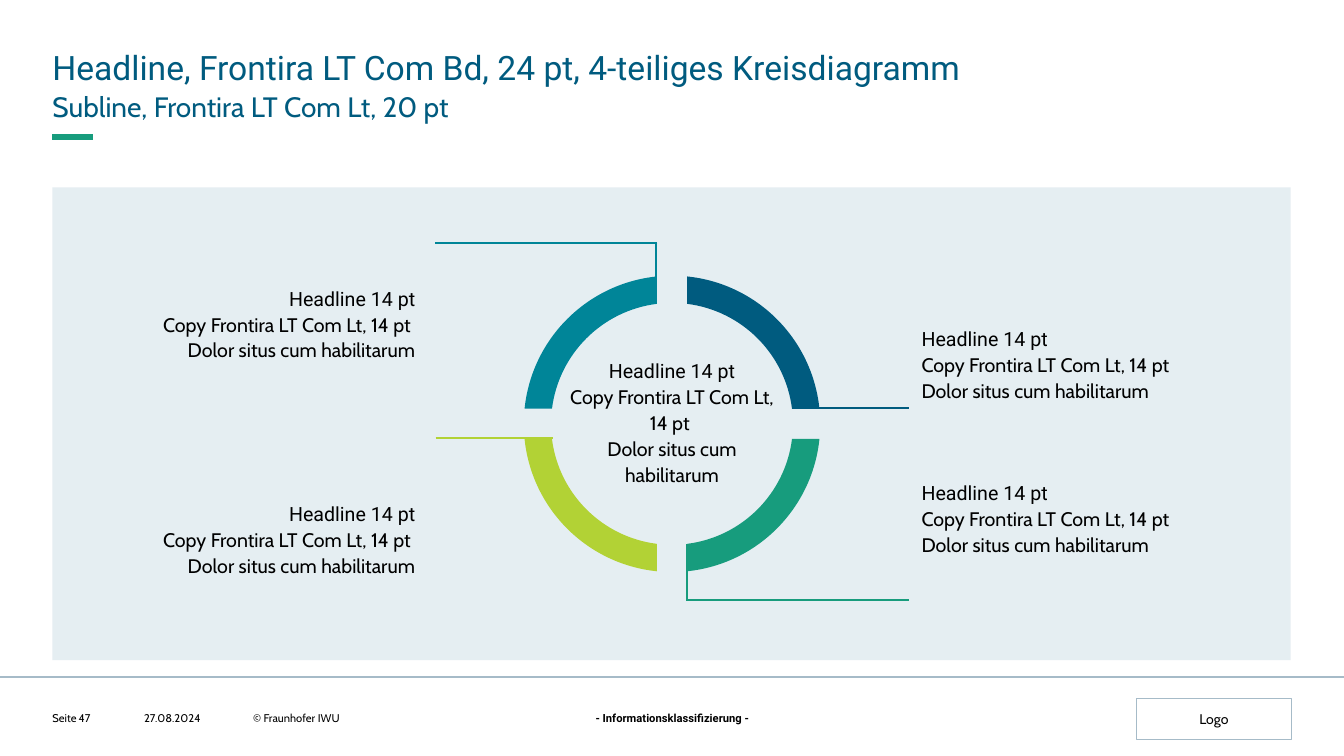
from copy import deepcopy
from dataclasses import dataclass
from math import asin, cos, pi, sin, tan

from lxml import etree
from pptx import Presentation
from pptx.dml.color import RGBColor
from pptx.enum.shapes import MSO_CONNECTOR, MSO_SHAPE
from pptx.enum.text import MSO_ANCHOR, PP_ALIGN
from pptx.oxml.ns import qn
from pptx.util import Inches, Pt

LEFT, CENTER, RIGHT = PP_ALIGN.LEFT, PP_ALIGN.CENTER, PP_ALIGN.RIGHT
TOP, MIDDLE = MSO_ANCHOR.TOP, MSO_ANCHOR.MIDDLE
RECTANGLE, STRAIGHT = MSO_SHAPE.RECTANGLE, MSO_CONNECTOR.STRAIGHT

HEAD_FONT, COPY_FONT = "Roboto", "Cabin"
COLORS = {
    "navy": "005B7F", "teal": "008598", "green": "179C7D", "lime": "B2D235",
    "panel": "E5EEF2", "rule": "A6BBC8", "white": "FFFFFF", "black": "000000",
}

# Geometry in inches: the ring sits in the middle of the panel
PAGE_WIDTH, PAGE_HEIGHT = 13.33, 7.5
PANEL_TOP, PANEL_HEIGHT = 1.86, 4.69
MARGIN, CONTENT_WIDTH = 0.52, 12.28
CENTER_X, CENTER_Y = PAGE_WIDTH / 2, PANEL_TOP + PANEL_HEIGHT / 2
OUTER, INNER, HALF_GAP = 1.47, 1.2, 0.15


@dataclass
class Line:
    start: tuple[float, float]
    end: tuple[float, float]
    color: str
    width: float = 1.5


@dataclass
class Segment:
    side_x: int
    side_y: int
    color: str


@dataclass
class Label:
    left: float
    top: float
    width: float
    height: float
    align: PP_ALIGN
    anchor: MSO_ANCHOR = TOP


@dataclass
class FooterItem:
    text: str
    left: float
    width: float
    align: PP_ALIGN = LEFT
    font: str = COPY_FONT
    bold: bool = False


RULES = [
    Line((MARGIN, 1.36), (0.92, 1.36), "green", 4),
    Line((0, 6.72), (PAGE_WIDTH, 6.72), "rule"),
]
LEADERS = [
    Line((6.51, 3.01), (6.51, 2.4), "teal"),
    Line((6.52, 2.41), (4.31, 2.41), "teal"),
    Line((7.86, 4.05), (9.02, 4.05), "navy"),
    Line((6.81, 5.4), (6.81, 5.96), "green"),
    Line((6.81, 5.95), (9.02, 5.95), "green"),
    Line((4.32, 4.35), (5.48, 4.35), "lime"),
]
SEGMENTS = [
    Segment(1, -1, "navy"), Segment(-1, -1, "teal"),
    Segment(1, 1, "green"), Segment(-1, 1, "lime"),
]
LABELS = [
    Label(0.78, 2.82, 3.34, 0.76, RIGHT),
    Label(0.78, 4.96, 3.34, 0.76, RIGHT),
    Label(9.14, 3.22, 3.5, 0.76, LEFT),
    Label(9.14, 4.75, 3.5, 0.76, LEFT),
    Label(5.59, 3.54, 2.15, 1.28, CENTER, MIDDLE),
]
FOOTER = [
    FooterItem("Seite", MARGIN, 0.25),
    FooterItem("47", 0.78, 0.45),
    FooterItem("27.08.2024", 1.43, 0.94),
    FooterItem("© Fraunhofer IWU", 2.51, 3.23),
    FooterItem("- Informationsklassifizierung -", 5.88, 1.58, CENTER, HEAD_FONT, True),
]


def rgb(name: str) -> RGBColor:
    return RGBColor.from_string(COLORS[name])


def write(para, text: str, *, size: float, font: str = COPY_FONT, color: str = "black",
          bold: bool = False, align: PP_ALIGN = LEFT, spacing: float = 1.0) -> None:
    para.text = text
    para.alignment = align
    para.line_spacing = spacing
    for span in para.runs:
        span.font.name = font
        span.font.size = Pt(size)
        span.font.bold = bold
        span.font.color.rgb = rgb(color)
    # Line breaks take the format of the text around them
    for line_break in para._p.findall(qn("a:br")):
        line_break.append(deepcopy(para.runs[0]._r.rPr))


def set_frame(frame, margin: float = 0, anchor: MSO_ANCHOR = TOP, wrap: bool = True) -> None:
    frame.margin_left = frame.margin_right = Inches(margin)
    frame.margin_top = frame.margin_bottom = Inches(margin)
    frame.vertical_anchor = anchor
    frame.word_wrap = wrap


def add_text_box(page, left: float, top: float, width: float, height: float,
                 anchor: MSO_ANCHOR = TOP, wrap: bool = True):
    box = page.shapes.add_textbox(Inches(left), Inches(top), Inches(width), Inches(height))
    set_frame(box.text_frame, anchor=anchor, wrap=wrap)
    return box.text_frame


def paint(shape, color: str) -> None:
    shape.shadow.inherit = False
    shape.fill.solid()
    shape.fill.fore_color.rgb = rgb(color)
    shape.line.fill.background()


def add_rectangle(page, left: float, top: float, width: float, height: float, fill: str):
    box = page.shapes.add_shape(RECTANGLE, Inches(left), Inches(top), Inches(width), Inches(height))
    paint(box, fill)
    return box


def add_line(page, line: Line) -> None:
    ends = [Inches(value) for value in (*line.start, *line.end)]
    connector = page.shapes.add_connector(STRAIGHT, *ends)
    connector.line.color.rgb = rgb(line.color)
    connector.line.width = Pt(line.width)
    etree.SubElement(connector._element.spPr, qn("a:effectLst"))


def arc_points(segment: Segment, radius: float) -> list[tuple[int, int]]:
    """Start, two control points and end of a Bézier arc."""
    first = asin(HALF_GAP / radius)
    last = pi / 2 - first
    pull = 4 / 3 * tan((last - first) / 4)
    offsets = [
        (cos(first), sin(first)),
        (cos(first) - pull * sin(first), sin(first) + pull * cos(first)),
        (cos(last) + pull * sin(last), sin(last) - pull * cos(last)),
        (cos(last), sin(last)),
    ]
    return [(Inches(CENTER_X + segment.side_x * radius * x),
             Inches(CENTER_Y + segment.side_y * radius * y)) for x, y in offsets]


def add_segment(page, segment: Segment) -> None:
    points = arc_points(segment, OUTER) + arc_points(segment, INNER)[::-1]
    builder = page.shapes.build_freeform(*points[0])
    builder.add_line_segments(points[1:], close=True)
    shape = builder.convert_to_shape()
    # Join the three steps of each arc into one curve
    steps = list(shape._element.iter(qn("a:lnTo")))
    for arc in (steps[:3], steps[4:]):
        curve = etree.Element(qn("a:cubicBezTo"))
        arc[0].addprevious(curve)
        for step in arc:
            curve.append(step[0])
            step.getparent().remove(step)
    paint(shape, segment.color)


def add_label(page, label: Label) -> None:
    frame = add_text_box(page, label.left, label.top, label.width, label.height, label.anchor)
    write(frame.paragraphs[0], "Headline 14 pt", size=14, font=HEAD_FONT,
          align=label.align, spacing=1.1)
    write(frame.add_paragraph(), "Copy Frontira LT Com Lt, 14 pt \nDolor situs cum habilitarum",
          size=14, align=label.align, spacing=1.1)


def main() -> None:
    deck = Presentation()
    deck.slide_width, deck.slide_height = Inches(PAGE_WIDTH), Inches(PAGE_HEIGHT)
    page = deck.slides.add_slide(deck.slide_layouts[6])
    # Header
    title = add_text_box(page, MARGIN, 0.43, CONTENT_WIDTH, 0.42)
    write(title.paragraphs[0], "Headline, Frontira LT Com Bd, 24 pt, 4-teiliges Kreisdiagramm",
          size=24, font=HEAD_FONT, color="navy", spacing=1.1)
    subline = add_text_box(page, MARGIN, 0.85, CONTENT_WIDTH, 0.35)
    write(subline.paragraphs[0], "Subline, Frontira LT Com Lt, 20 pt",
          size=20, color="navy", spacing=1.1)
    for rule in RULES:
        add_line(page, rule)
    # Ring diagram
    add_rectangle(page, MARGIN, PANEL_TOP, CONTENT_WIDTH, PANEL_HEIGHT, "panel")
    for leader in LEADERS:
        add_line(page, leader)
    for segment in SEGMENTS:
        add_segment(page, segment)
    for label in LABELS:
        add_label(page, label)
    # Footer
    for item in FOOTER:
        frame = add_text_box(page, item.left, 7.06, item.width, 0.13, MIDDLE, wrap=False)
        write(frame.paragraphs[0], item.text, size=8, font=item.font,
              bold=item.bold, align=item.align)
    logo = add_rectangle(page, 11.27, 6.93, 1.54, 0.41, "white")
    logo.line.color.rgb = rgb("rule")
    logo.line.width = Pt(0.75)
    set_frame(logo.text_frame, 0.12, MIDDLE)
    write(logo.text_frame.paragraphs[0], "Logo", size=10, align=CENTER)
    deck.save("out.pptx")


if __name__ == "__main__":
    main()
